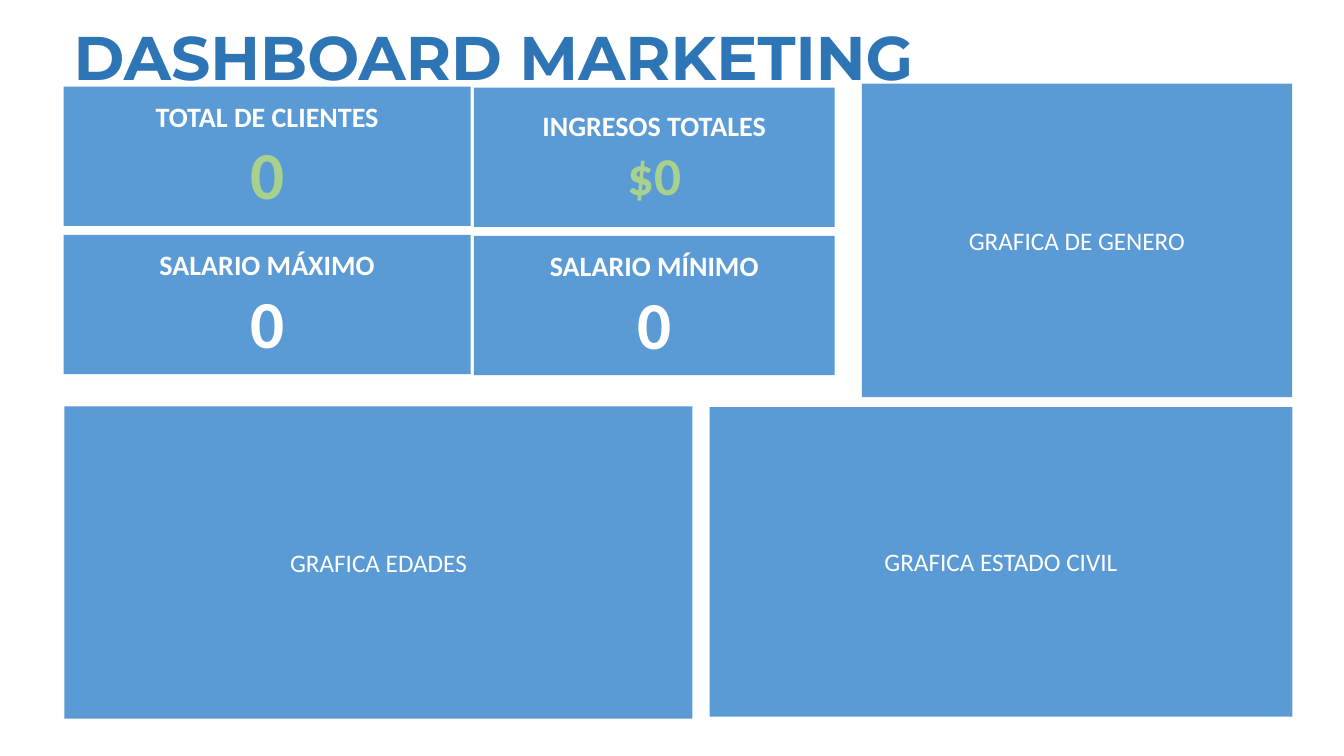
import pptx
import pptx.util
import pptx.dml.color
import pptx.enum.shapes
import pptx.enum.text

Pt = pptx.util.Pt
RGBColor = pptx.dml.color.RGBColor
PP_ALIGN = pptx.enum.text.PP_ALIGN
MSO_ANCHOR = pptx.enum.text.MSO_ANCHOR

BLUE = RGBColor(0x5B, 0x9B, 0xD5)
DARK_BLUE = RGBColor(0x2E, 0x75, 0xB6)
GREEN = RGBColor(0xA9, 0xD1, 0x8E)
WHITE = RGBColor(0xFF, 0xFF, 0xFF)

# Content
TITLE = "DASHBOARD MARKETING"
# Rows of indicators: label, value, value size, value colour
KPIS = [
    [("TOTAL DE CLIENTES", "0", 48, GREEN), ("INGRESOS TOTALES", "$0", 38, GREEN)],
    [("SALARIO MÁXIMO", "0", 48, WHITE), ("SALARIO MÍNIMO", "0", 48, WHITE)],
]
# Chart areas: label, (left, top, width, height)
CHARTS = [
    ("GRAFICA ESTADO CIVIL", (506.9, 290.9, 416.2, 221)),
    ("GRAFICA EDADES", (46.1, 290.2, 448.6, 223.2)),
    ("GRAFICA DE GENERO", (615.6, 59.8, 307.4, 223.9)),
]

# Indicator grid: left, top and width of each column
KPI_COLS = [(45.4, 61.9, 290.9), (338.4, 62.6, 257.8)]
KPI_HEIGHT = 99.4
ROW_PITCH = 105.9


def format_text(p, font, size, color, bold, align):
    p.alignment = align
    for r in p.runs:
        r.font.name = font
        r.font.size = Pt(size)
        r.font.bold = bold
        r.font.color.rgb = color


def add_panel(s, box, lines):
    """Add a blue panel; lines hold text, size, colour and bold."""
    sp = s.shapes.add_shape(pptx.enum.shapes.MSO_SHAPE.RECTANGLE, *map(Pt, box))
    sp.shadow.inherit = False
    sp.fill.solid()
    sp.fill.fore_color.rgb = BLUE
    sp.line.fill.background()
    tf = sp.text_frame
    tf.word_wrap = True
    tf.vertical_anchor = MSO_ANCHOR.MIDDLE
    tf.text = "\n".join(line[0] for line in lines)
    for p, (_, size, color, bold) in zip(tf.paragraphs, lines):
        format_text(p, "Calibri", size, color, bold, PP_ALIGN.CENTER)


def main():
    prs = pptx.Presentation()
    prs.slide_width, prs.slide_height = Pt(960), Pt(540)
    s = prs.slides.add_slide(prs.slide_layouts[5])

    # Title
    title = s.shapes.title
    title.left, title.top, title.width, title.height = map(Pt, (45.4, 13.7, 828, 59))
    tf = title.text_frame
    tf.text = TITLE
    tf.auto_size = pptx.enum.text.MSO_AUTO_SIZE.NONE
    tf.vertical_anchor = MSO_ANCHOR.MIDDLE
    p = tf.paragraphs[0]
    p.line_spacing = 0.9
    format_text(p, "Montserrat", 44, DARK_BLUE, True, PP_ALIGN.LEFT)

    # Indicators
    for row, kpis in enumerate(KPIS):
        for (left, top, width), (label, value, size, color) in zip(KPI_COLS, kpis):
            box = (left, top + row * ROW_PITCH, width, KPI_HEIGHT)
            add_panel(s, box, [(label, 20, WHITE, True), (value, size, color, True)])

    # Chart areas
    for label, box in CHARTS:
        add_panel(s, box, [(label, 18, WHITE, False)])

    prs.save("out.pptx")


if __name__ == "__main__":
    main()
